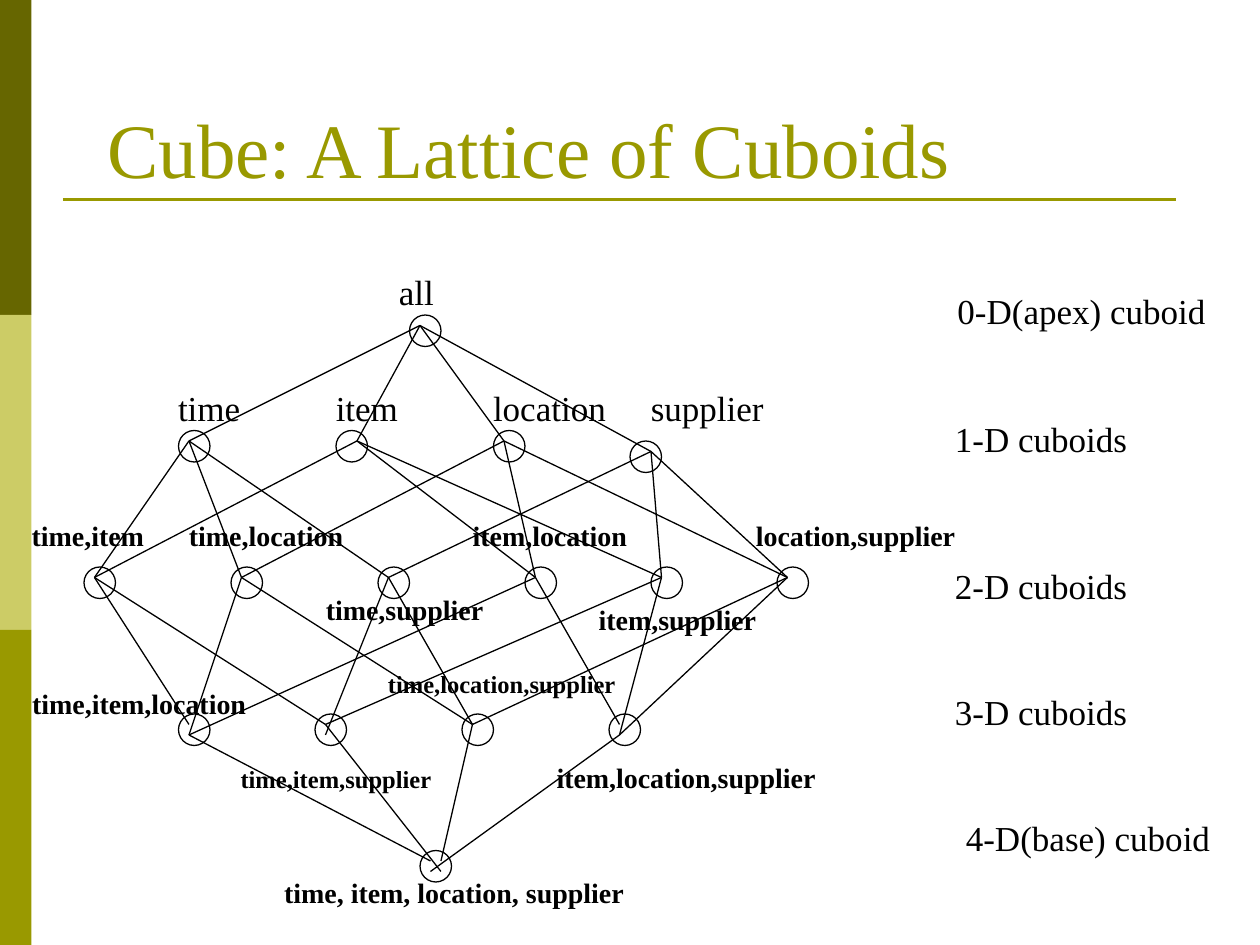
from lxml import etree
from pptx import Presentation
from pptx.dml.color import RGBColor
from pptx.enum.shapes import MSO_CONNECTOR, MSO_SHAPE
from pptx.enum.text import MSO_ANCHOR, MSO_AUTO_SIZE, PP_ALIGN
from pptx.oxml.ns import qn
from pptx.util import Cm, Pt

RECTANGLE = MSO_SHAPE.RECTANGLE
NODE = MSO_SHAPE.FLOWCHART_CONNECTOR
STRAIGHT = MSO_CONNECTOR.STRAIGHT
TITLE_ONLY = 5

FONT = "Times New Roman"
COLORS = {"dark": "666600", "light": "CCCC66", "olive": "999900",
          "ink": "000000", "paper": "FFFFFF"}
WIDTH, HEIGHT = 25.4, 19.05
UNIT = WIDTH / 120  # the lattice sits on a grid 120 units wide
NODE_SIZE = 3
LABEL_HEIGHT = {14: 0.86, 16: 0.94, 20: 1.12}

TITLE = "Cube: A Lattice of Cuboids"
BARS = ["dark", "light", "olive"]

# Dimensions (initials): circle corner, point where lines meet, in grid units
NODES = {
    "": ((39, 30), (40, 31)),
    "T": ((17, 41), (18, 42)),
    "I": ((32, 41), (34, 42)),
    "L": ((47, 41), (48, 42)),
    "S": ((60, 42), (62, 43)),
    "TI": ((8, 54), (9, 55)),
    "TL": ((22, 54), (23, 55)),
    "TS": ((36, 54), (37, 55)),
    "IL": ((50, 54), (51, 55)),
    "IS": ((62, 54), (63, 55)),
    "LS": ((74, 54), (75, 55)),
    "TIL": ((17, 68), (18, 70)),
    "TIS": ((30, 68), (31, 69)),
    "TLS": ((44, 68), (45, 69)),
    "ILS": ((58, 68), (59, 70)),
    "TILS": ((40, 81), (42, 82)),
}
# Lines that end beside the usual meeting point
SPECIAL_ENDS = {
    ("TI", "TIL"): (18, 69),
    ("TS", "TIS"): (31, 70),
    ("IL", "ILS"): (59, 69),
    ("TIL", "TILS"): (41, 82),
    ("TIS", "TILS"): (42, 83),
    ("ILS", "TILS"): (41, 83),
}

# Text, left, top, width (cm), point size, bold
LABELS = [
    ("all", 7.79, 5.33, 1.25, 20, False),
    ("time", 3.34, 7.67, 1.8, 20, False),
    ("item", 6.52, 7.67, 1.8, 20, False),
    ("location", 9.69, 7.67, 2.82, 20, False),
    ("supplier", 12.87, 7.67, 2.82, 20, False),
    ("time,item", 0.39, 10.33, 2.82, 16, True),
    ("time,location", 3.56, 10.33, 3.66, 16, True),
    ("time,supplier", 6.32, 11.82, 3.73, 16, True),
    ("item,location", 9.28, 10.33, 3.66, 16, True),
    ("item,supplier", 11.82, 12.02, 3.73, 16, True),
    ("location,supplier", 14.99, 10.33, 4.57, 16, True),
    ("time,item,location", 0.4, 13.72, 4.88, 16, True),
    ("time,item,supplier", 4.6, 15.27, 4.4, 14, True),
    ("time,location,supplier", 7.57, 13.36, 5.16, 14, True),
    ("item,location,supplier", 10.97, 15.2, 5.8, 16, True),
    ("time, item, location, supplier", 5.48, 17.53, 7.42, 16, True),
    ("0-D(apex) cuboid", 19.05, 5.72, 5.56, 20, False),
    ("1-D cuboids", 19, 8.3, 4.04, 20, False),
    ("2-D cuboids", 19, 11.25, 4.04, 20, False),
    ("3-D cuboids", 19, 13.79, 4.04, 20, False),
    ("4-D(base) cuboid", 19.22, 16.33, 5.49, 20, False),
]


def color(name):
    return RGBColor.from_string(COLORS[name])


def grid(units):
    return Cm(units * UNIT)


def style_font(para, size, name, bold=False):
    para.font.name = FONT
    para.font.size = Pt(size)
    para.font.bold = bold
    para.font.color.rgb = color(name)


def add_filled_shape(page, kind, frame, fill, line=None):
    shape = page.shapes.add_shape(kind, *frame)
    shape.shadow.inherit = False
    shape.fill.solid()
    shape.fill.fore_color.rgb = color(fill)
    if line:
        shape.line.color.rgb = color(line)
        shape.line.width = Pt(0.75)
    else:
        shape.line.fill.background()


def add_line(page, start, end, name="ink", width=0.75):
    """Draw a line between two points in grid units."""
    points = [grid(value) for value in (*start, *end)]
    line = page.shapes.add_connector(STRAIGHT, *points)
    line.line.color.rgb = color(name)
    line.line.width = Pt(width)
    etree.SubElement(line._element.spPr, qn("a:effectLst"))


def add_label(page, text, left, top, width, size, bold):
    box = page.shapes.add_textbox(Cm(left), Cm(top), Cm(width), Cm(LABEL_HEIGHT[size]))
    box.text_frame.word_wrap = False
    box.text_frame.auto_size = MSO_AUTO_SIZE.SHAPE_TO_FIT_TEXT
    para = box.text_frame.paragraphs[0]
    para.text = text
    style_font(para, size, "ink", bold)


def add_frame(page):
    title = page.shapes.title
    title.left, title.top, title.width, title.height = Cm(1.91), Cm(2.33), Cm(17.58), Cm(1.7)
    title.text_frame.auto_size = MSO_AUTO_SIZE.NONE
    title.text_frame.vertical_anchor = MSO_ANCHOR.BOTTOM
    para = title.text_frame.paragraphs[0]
    para.text = TITLE
    para.alignment = PP_ALIGN.LEFT
    style_font(para, 44, "olive")
    for row, name in enumerate(BARS):
        add_filled_shape(page, RECTANGLE, [grid(n) for n in (0, row * 30, 3, 30)], name)
    add_line(page, (6, 19), (112, 19), "olive", 1.5)


def add_lattice(page):
    """Draw the circles and join each cuboid to those with one more dimension."""
    for corner, _ in NODES.values():
        frame = [grid(n) for n in (*corner, NODE_SIZE, NODE_SIZE)]
        add_filled_shape(page, NODE, frame, "paper", "ink")
    for parent, (_, start) in NODES.items():
        for child, (_, joint) in NODES.items():
            if len(child) == len(parent) + 1 and set(parent) < set(child):
                add_line(page, start, SPECIAL_ENDS.get((parent, child), joint))


def main():
    deck = Presentation()
    deck.slide_width, deck.slide_height = Cm(WIDTH), Cm(HEIGHT)
    page = deck.slides.add_slide(deck.slide_layouts[TITLE_ONLY])
    add_frame(page)
    add_lattice(page)
    for label in LABELS:
        add_label(page, *label)
    deck.save("out.pptx")


if __name__ == "__main__":
    main()
